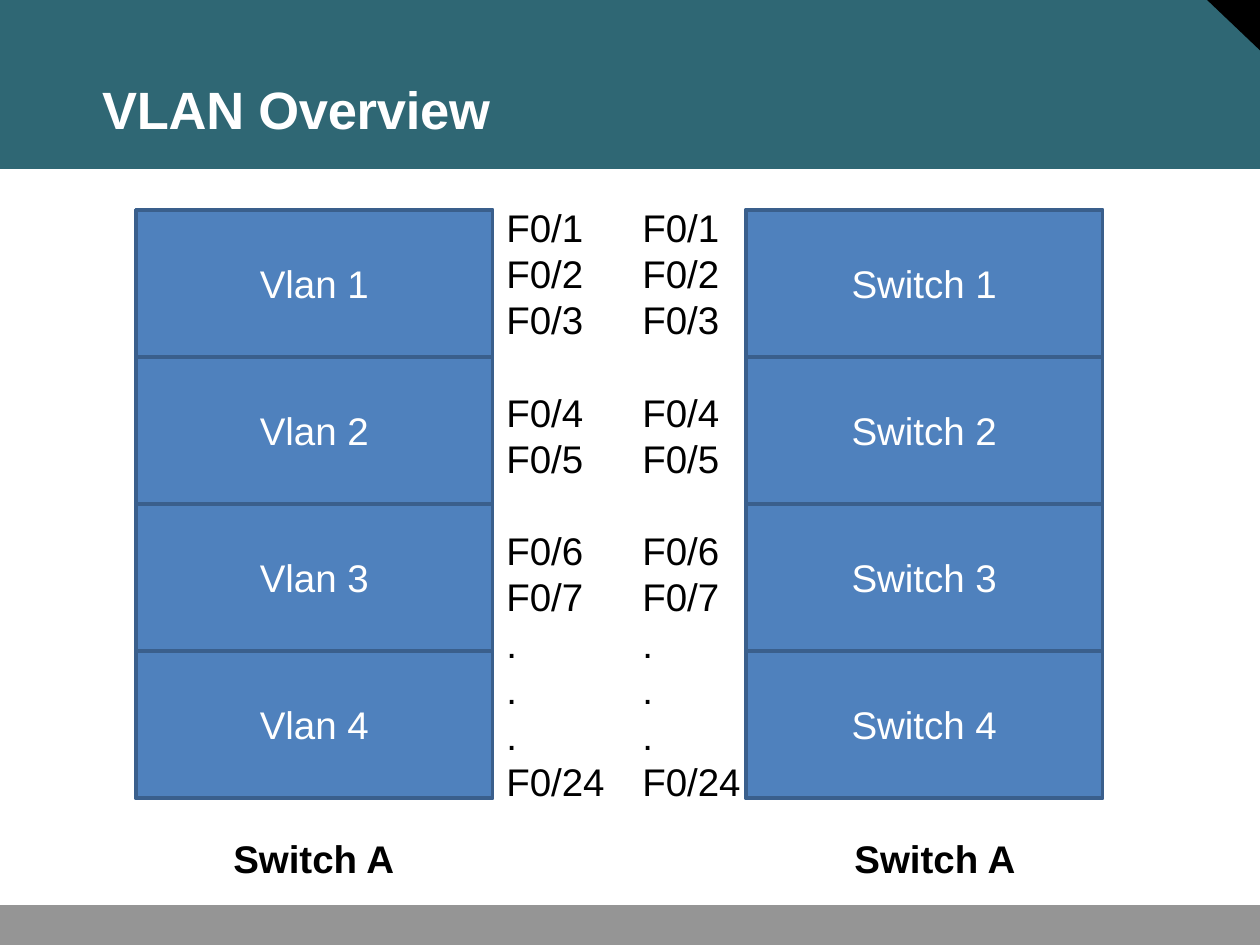
import pptx
import pptx.util
import pptx.dml.color
import pptx.enum.shapes
import pptx.enum.text

Inches, Pt = pptx.util.Inches, pptx.util.Pt
RGBColor = pptx.dml.color.RGBColor
CENTER = pptx.enum.text.PP_ALIGN.CENTER
MIDDLE = pptx.enum.text.MSO_ANCHOR.MIDDLE
RECTANGLE = pptx.enum.shapes.MSO_SHAPE.RECTANGLE

TEAL = RGBColor(0x2F, 0x67, 0x74)
GRAY = RGBColor(0x95, 0x95, 0x95)
BLUE = RGBColor(0x4F, 0x81, 0xBD)
DARK_BLUE = RGBColor(0x3A, 0x5F, 0x8C)
WHITE = RGBColor(0xFF, 0xFF, 0xFF)
BLACK = RGBColor(0, 0, 0)

# Content
TITLE = "VLAN Overview"
PORT_GROUPS = [
    ["F0/1", "F0/2", "F0/3"],
    ["F0/4", "F0/5"],
    ["F0/6", "F0/7", ".", ".", ".", "F0/24"],
]
# Each switch: name, part names, then left edges of stack, caption and ports
SWITCHES = [
    ("Switch A", [f"Vlan {n}" for n in range(1, 5)], 1.08, 1.08, 3.92),
    ("Switch A", [f"Switch {n}" for n in range(1, 5)], 5.92, 6.01, 5),
]
# Outlines in hundredths of an inch
BANDS = [
    (TEAL, [(0, 0), (1000, 0), (1000, 134), (0, 134)]),
    (BLACK, [(958, 0), (1000, 0), (1000, 40)]),
    (GRAY, [(0, 718), (1000, 718), (1000, 750), (0, 750)]),
]
STACK_TOP, STACK_WIDTH, STACK_HEIGHT = 5 / 3, 2.83, 14 / 3
FONT_SIZE, LINE_PITCH = 22, 26.4

presentation = pptx.Presentation()
presentation.slide_width, presentation.slide_height = Inches(10), Inches(7.5)
slide = presentation.slides.add_slide(presentation.slide_layouts[5])


def format_paragraph(paragraph, color, size=FONT_SIZE, bold=False, alignment=None):
    paragraph.alignment = alignment
    for run in paragraph.runs:
        run.font.name = "Arial"
        run.font.size = Pt(size)
        run.font.bold = bold
        run.font.color.rgb = color


def add_box(left, top, height, text=""):
    shape = slide.shapes.add_shape(
        RECTANGLE, Inches(left), Inches(top), Inches(STACK_WIDTH), Inches(height))
    shape.shadow.inherit = False
    shape.fill.solid()
    shape.fill.fore_color.rgb = BLUE
    shape.line.color.rgb = DARK_BLUE
    shape.line.width = Pt(2)
    if text:
        shape.text_frame.text = text
        shape.text_frame.vertical_anchor = MIDDLE
        format_paragraph(shape.text_frame.paragraphs[0], WHITE, alignment=CENTER)


def add_text(left, top, width, height, text):
    text_box = slide.shapes.add_textbox(
        Inches(left), Inches(top), Inches(width), Inches(height))
    text_box.text_frame.word_wrap = True
    text_box.text_frame.text = text
    return text_box.text_frame.paragraphs


# Coloured bands and corner
for color, points in BANDS:
    builder = slide.shapes.build_freeform(*points[0], scale=Inches(0.01))
    builder.add_line_segments(points[1:], close=True)
    band = builder.convert_to_shape()
    band.shadow.inherit = False
    band.fill.solid()
    band.fill.fore_color.rgb = color
    band.line.fill.background()

# Title, moved in front of the bands
title = slide.shapes.title
title.left, title.top = Inches(0.79), Inches(0.6)
title.width, title.height = Inches(3.12), Inches(0.53)
title_frame = title.text_frame
title_frame.text = TITLE
title_frame.word_wrap = True
title_frame.vertical_anchor = pptx.enum.text.MSO_ANCHOR.TOP
title_frame.margin_left = title_frame.margin_right = title_frame.margin_bottom = 0
title_frame.margin_top = Inches(0.01)
format_paragraph(title_frame.paragraphs[0], WHITE, 30, True, CENTER)
# Slightly tightened letter spacing, in hundredths of a point
title_frame.paragraphs[0].runs[0]._r.get_or_add_rPr().set("spc", "-15")
title.element.getparent().append(title.element)

# Switches: stack of parts, caption and port list
port_text = "\n".join(port for group in PORT_GROUPS for port in group)
group_starts = {group[0] for group in PORT_GROUPS[1:]}
for name, parts, stack_left, caption_left, ports_left in SWITCHES:
    add_box(stack_left, STACK_TOP, STACK_HEIGHT)
    part_height = STACK_HEIGHT / len(parts)
    for index, part in enumerate(parts):
        add_box(stack_left, STACK_TOP + index * part_height, part_height, part)

    caption = add_text(caption_left, 6.58, 2.82, 0.47, name)
    format_paragraph(caption[0], BLACK, bold=True, alignment=CENTER)

    for paragraph in add_text(ports_left, 1.57, 1.08, 4.91, port_text):
        format_paragraph(paragraph, BLACK)
        paragraph.line_spacing = Pt(LINE_PITCH)
        if paragraph.text in group_starts:
            paragraph.space_before = Pt(LINE_PITCH)

presentation.save("out.pptx")
